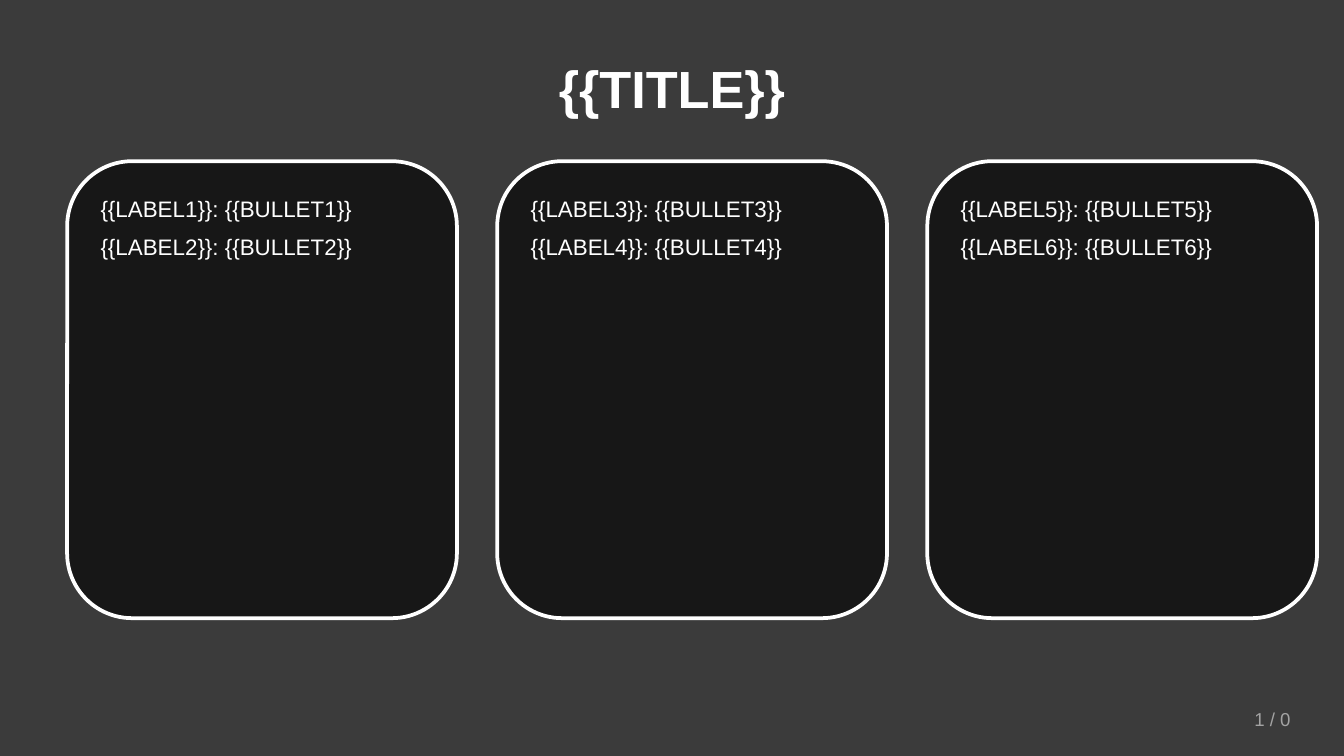
from lxml import etree
from pptx import Presentation
from pptx.dml.color import RGBColor
from pptx.enum.shapes import MSO_SHAPE
from pptx.enum.text import MSO_ANCHOR, PP_ALIGN
from pptx.oxml.ns import qn
from pptx.util import Inches, Pt

RECTANGLE, ROUNDED = MSO_SHAPE.RECTANGLE, MSO_SHAPE.ROUNDED_RECTANGLE
TOP, MIDDLE = MSO_ANCHOR.TOP, MSO_ANCHOR.MIDDLE
LEFT, CENTER, RIGHT = PP_ALIGN.LEFT, PP_ALIGN.CENTER, PP_ALIGN.RIGHT

COLORS = {
    "background": "FFFFFF",
    "overlay": "0A0A0A",
    "card": "141414",
    "text": "FFFFFF",
    "border": "FFFFFF",
    "page": "A3A3A3",
}
SLIDE_WIDTH = 10
SLIDE_HEIGHT = SLIDE_WIDTH * 9 / 16

presentation = Presentation()
presentation.slide_width = Inches(SLIDE_WIDTH)
presentation.slide_height = Inches(SLIDE_HEIGHT)
slide = presentation.slides.add_slide(presentation.slide_layouts[6])
slide.background.fill.solid()
slide.background.fill.fore_color.rgb = RGBColor.from_string(COLORS["background"])


def add_panel(kind, left, top, width, height, color, opacity):
    """Add a translucent shape without an outline; opacity is in percent."""
    shape = slide.shapes.add_shape(
        kind, Inches(left), Inches(top), Inches(width), Inches(height))
    shape.shadow.inherit = False
    shape.fill.solid()
    shape.fill.fore_color.rgb = RGBColor.from_string(COLORS[color])
    color_element = shape.fill._xPr.find(qn("a:solidFill"))[0]
    etree.SubElement(color_element, qn("a:alpha")).set("val", str(opacity * 1000))
    shape.line.fill.background()
    return shape


def add_text(lines, left, top, width, height, size, color="text",
             align=LEFT, anchor=TOP, bold=False, space_after=0):
    box = slide.shapes.add_textbox(
        Inches(left), Inches(top), Inches(width), Inches(height))
    frame = box.text_frame
    frame.word_wrap = True
    frame.vertical_anchor = anchor
    frame.text = "\n".join(lines)
    for paragraph in frame.paragraphs:
        paragraph.alignment = align
        paragraph.space_after = Pt(space_after)
        paragraph.font.name = "Arial"
        paragraph.font.size = Pt(size)
        paragraph.font.bold = bold
        paragraph.font.color.rgb = RGBColor.from_string(COLORS[color])


# Dark overlay and title
add_panel(RECTANGLE, 0, 0, SLIDE_WIDTH, SLIDE_HEIGHT, "overlay", 80)
add_text(["{{TITLE}}"], 0.5, 0.3, 9, 0.7, 28,
         align=CENTER, anchor=MIDDLE, bold=True)

# Three cards with two labelled bullets each
CARD_LEFT, CARD_TOP, CARD_WIDTH, CARD_HEIGHT, CARD_GAP = 0.5, 1.2, 2.9, 3.4, 0.3
PADDING_X, PADDING_Y = 0.15, 0.2
for column in range(3):
    left = CARD_LEFT + column * (CARD_WIDTH + CARD_GAP)
    card = add_panel(ROUNDED, left, CARD_TOP, CARD_WIDTH, CARD_HEIGHT, "card", 90)
    card.line.color.rgb = RGBColor.from_string(COLORS["border"])
    card.line.width = Pt(2)

    first = 2 * column + 1
    bullets = [f"{{{{LABEL{number}}}}}: {{{{BULLET{number}}}}}"
               for number in (first, first + 1)]
    add_text(bullets, left + PADDING_X, CARD_TOP + PADDING_Y,
             CARD_WIDTH - 2 * PADDING_X, CARD_HEIGHT - 2 * PADDING_Y,
             12, space_after=6)

# Page number
add_text(["1 / 0"], 8.5, 5.2, 1.2, 0.3, 10, "page", align=RIGHT, anchor=MIDDLE)

presentation.save("out.pptx")
